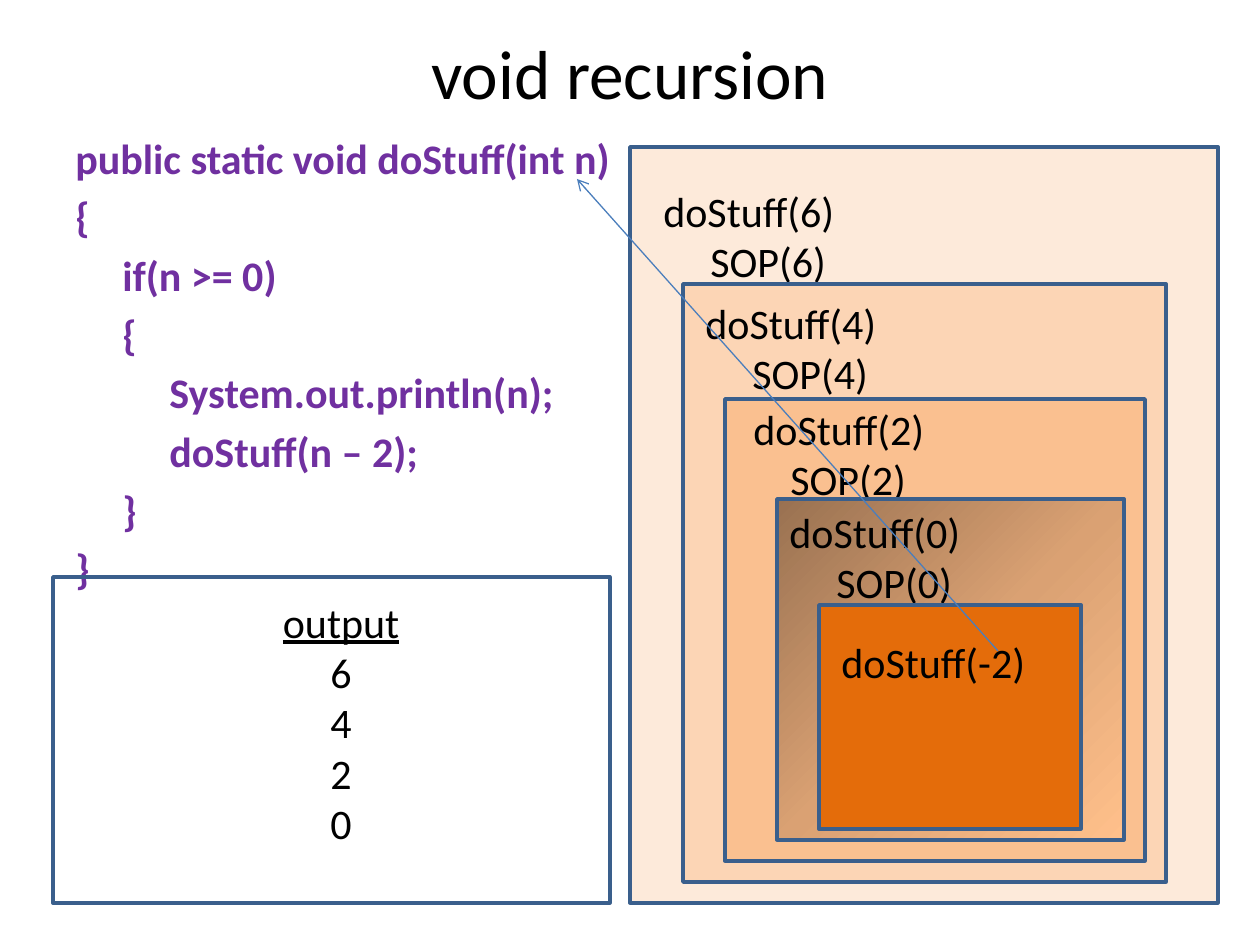
from copy import deepcopy

from lxml import etree
from pptx import Presentation
from pptx.dml.color import RGBColor
from pptx.enum.shapes import MSO_CONNECTOR, MSO_SHAPE
from pptx.enum.text import MSO_ANCHOR, PP_ALIGN
from pptx.oxml.ns import qn
from pptx.util import Emu, Pt

RECTANGLE = MSO_SHAPE.RECTANGLE
STRAIGHT = MSO_CONNECTOR.STRAIGHT
TOP, MIDDLE = MSO_ANCHOR.TOP, MSO_ANCHOR.MIDDLE
LEFT, CENTER = PP_ALIGN.LEFT, PP_ALIGN.CENTER

BLACK = RGBColor(0x00, 0x00, 0x00)
PURPLE = RGBColor(0x70, 0x30, 0xA0)
FRAME_BLUE = RGBColor(0x3A, 0x5F, 0x8C)
ARROW_BLUE = RGBColor(0x4B, 0x7E, 0xBC)
PALE_PEACH = RGBColor(0xFD, 0xEA, 0xDA)
PEACH = RGBColor(0xFC, 0xD5, 0xB5)
APRICOT = RGBColor(0xFA, 0xC0, 0x90)
ORANGE = RGBColor(0xE4, 0x6C, 0x0A)
BROWN_FADE = (
    RGBColor(0x99, 0x71, 0x51),
    RGBColor(0xDA, 0xA1, 0x73),
    RGBColor(0xFF, 0xC0, 0x8B),
)

FONT = "Calibri"
INDENT = 47
CODE = (
    (0, "public static void doStuff(int n)"),
    (0, "{"),
    (INDENT, "if(n >= 0)"),
    (INDENT, "{"),
    (2 * INDENT, "System.out.println(n);"),
    (2 * INDENT, "doStuff(n – 2);"),
    (INDENT, "}"),
    (0, "}"),
)
CALLS = (
    ((630, 147, 588, 756), PALE_PEACH, (651, 179, 504, 165),
     ((0, "doStuff(6)"), (INDENT, "SOP(6)"))),
    ((683, 284, 483, 598), PEACH, (693, 291, 378, 165),
     ((0, "doStuff(4)"), (INDENT, "SOP(4)"))),
    ((725, 399, 420, 462), APRICOT, (731, 397, 357, 204),
     ((10, "doStuff(2)"), (INDENT, "SOP(2)"))),
    ((777, 499, 347, 341), BROWN_FADE, (777, 500, 284, 165),
     ((0, "doStuff(0)"), (INDENT, "SOP(0)"))),
    ((819, 605, 262, 224), ORANGE, (829, 630, 231, 102),
     ((0, "doStuff(-2)"),)),
)
OUTPUT = ("output", "6", "4", "2", "0")


def px(length):
    """Turn picture pixels into EMU."""
    return Emu(round(length * 914400 / 126))


def add_text(slide, area, lines, size=24, color=BLACK, bold=False,
             align=LEFT, anchor=TOP, gap=0, underlined=None):
    """Add a text box of (indent, text) lines."""
    frame = slide.shapes.add_textbox(*map(px, area)).text_frame
    frame.word_wrap = True
    frame.vertical_anchor = anchor
    for number, (indent, text) in enumerate(lines):
        paragraph = frame.add_paragraph() if number else frame.paragraphs[0]
        paragraph.alignment = align
        paragraph.space_before = Pt(gap)
        if indent:
            paragraph._p.get_or_add_pPr().set("marL", str(px(indent)))
        run = paragraph.add_run()
        run.text = text
        run.font.name = FONT
        run.font.size = Pt(size)
        run.font.bold = bold
        run.font.underline = text == underlined
        run.font.color.rgb = color


def fade(box, colors):
    """Fill a box with an evenly spaced diagonal gradient."""
    box.fill.gradient()
    box.fill.gradient_angle = 315
    stops = box._element.spPr.find(qn("a:gradFill")).find(qn("a:gsLst"))
    stops.append(deepcopy(stops[-1]))
    for number, (stop, color) in enumerate(zip(box.fill.gradient_stops, colors)):
        stop.position = number / (len(colors) - 1)
        stop.color.rgb = color


def add_frame(slide, area, fill=None):
    """Add an outlined box with no fill, a plain fill or a gradient."""
    box = slide.shapes.add_shape(RECTANGLE, *map(px, area))
    box.shadow.inherit = False
    box.line.color.rgb = FRAME_BLUE
    box.line.width = Pt(2)
    if fill is None:
        box.fill.background()
    elif fill is BROWN_FADE:
        fade(box, fill)
    else:
        box.fill.solid()
        box.fill.fore_color.rgb = fill


def add_arrow(slide, start, end):
    """Add a thin line with an open arrowhead at its end."""
    arrow = slide.shapes.add_connector(STRAIGHT, *map(px, start + end))
    arrow.line.color.rgb = ARROW_BLUE
    arrow.line.width = Pt(0.75)
    etree.SubElement(arrow.line._get_or_add_ln(), qn("a:tailEnd"), type="arrow")
    etree.SubElement(arrow._element.spPr, qn("a:effectLst"))


def main():
    """Build the recursion slide."""
    deck = Presentation()
    deck.slide_width, deck.slide_height = px(1260), px(945)
    slide = deck.slides.add_slide(deck.slide_layouts[6])

    add_text(slide, (63, 38, 1134, 67), [(0, "void recursion")],
             size=39.6, align=CENTER, anchor=MIDDLE)
    add_text(slide, (63, 126, 567, 472), CODE, color=PURPLE, bold=True, gap=4.7)
    add_frame(slide, (53, 577, 557, 326))
    add_text(slide, (73, 590, 536, 265), [(0, text) for text in OUTPUT],
             align=CENTER, underlined="output")
    for frame_area, fill, label_area, lines in CALLS:
        add_frame(slide, frame_area, fill)
        add_text(slide, label_area, lines)
    add_arrow(slide, (998, 651), (577, 179))

    deck.save("out.pptx")


main()
